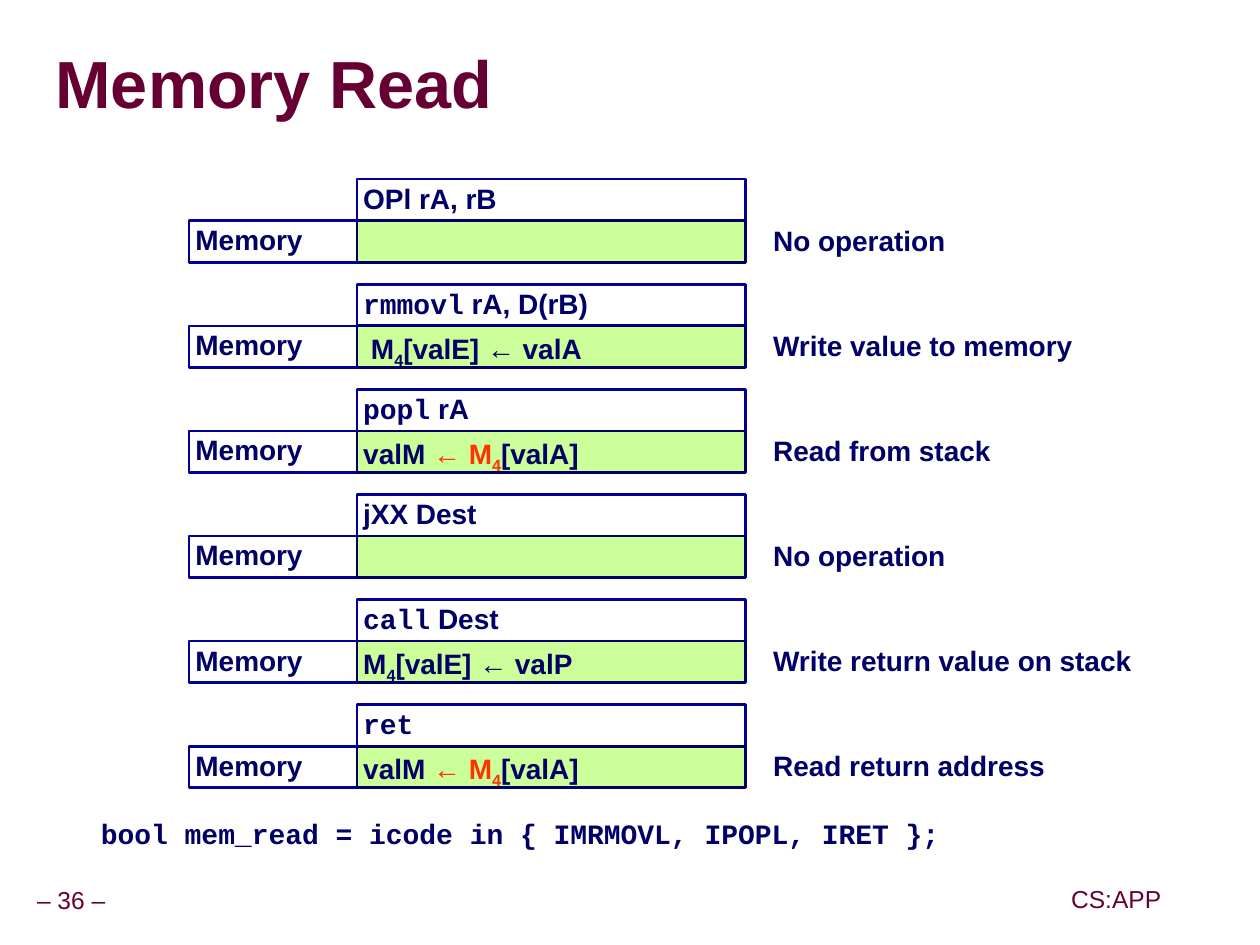
from dataclasses import dataclass

from lxml.etree import SubElement
from pptx import Presentation
from pptx.dml.color import RGBColor
from pptx.enum.shapes import MSO_SHAPE as Preset
from pptx.enum.text import MSO_ANCHOR as Anchor, MSO_AUTO_SIZE as AutoSize, PP_ALIGN as Align
from pptx.oxml.ns import qn
from pptx.slide import Slide
from pptx.text.text import TextFrame
from pptx.util import Inches, Pt

NAVY, BLUE, GREEN, RED, MAROON = "000066", "000099", "CCFF99", "FF3300", "660033"
SANS, MONO = "Arial", "Courier New"
ROW_HEIGHT, FIRST_TOP, PITCH = 0.33, 1.42, 0.833
STAGE_LEFT, STAGE_WIDTH = 1.5, 1.33
STEP_LEFT, STEP_WIDTH = 2.83, 3.08
NOTE_LEFT = 6.08


@dataclass(frozen=True)
class Piece:
    text: str
    font: str = SANS
    color: str = NAVY
    subscript: bool = False
    size: float = 16
    bold: bool = True


@dataclass(frozen=True)
class Instruction:
    name: list[Piece]
    step: list[Piece]
    note: str


def rgb(value: str) -> RGBColor:
    return RGBColor.from_string(value)


def write(frame: TextFrame, pieces: list[Piece], spacing: float = 0.9,
          anchor: Anchor = Anchor.TOP, align: Align = Align.LEFT,
          inset: float = 0.05, wrap: bool = True) -> None:
    frame.auto_size = AutoSize.NONE
    frame.word_wrap = wrap
    frame.vertical_anchor = anchor
    frame.margin_left = frame.margin_right = Inches(inset)
    frame.margin_top = frame.margin_bottom = Inches(inset)
    paragraph = frame.paragraphs[0]
    paragraph.alignment = align
    paragraph.line_spacing = spacing
    for piece in pieces:
        run = paragraph.add_run()
        run.text = piece.text
        run.font.name = piece.font
        run.font.size = Pt(piece.size)
        run.font.bold = piece.bold
        run.font.color.rgb = rgb(piece.color)
        if piece.subscript:
            run.font._element.set("baseline", "-25000")


def add_title(slide: Slide, text: str) -> None:
    title = slide.shapes.title
    title.left, title.top = Inches(0.44), Inches(0.27)
    title.width, title.height = Inches(9.52), Inches(0.85)
    write(title.text_frame, [Piece(text, color=MAROON, size=38)], 0.87, Anchor.MIDDLE, inset=0)
    properties = title.text_frame.paragraphs[0].runs[0].font._element
    effects = SubElement(properties, qn("a:effectLst"))
    properties.find(qn("a:solidFill")).addnext(effects)
    shadow = SubElement(effects, qn("a:outerShdw"), dist="45720", dir="2700000")
    SubElement(shadow, qn("a:srgbClr"), val="808080")


def add_cell(slide: Slide, left: float, top: float, width: float, pieces: list[Piece],
             line: str = BLUE, fill: str | None = None, anchor: Anchor = Anchor.TOP) -> None:
    cell = slide.shapes.add_shape(Preset.RECTANGLE, Inches(left), Inches(top),
                                  Inches(width), Inches(ROW_HEIGHT))
    cell.shadow.inherit = False
    cell.line.color.rgb = rgb(line)
    cell.line.width = Pt(1.5)
    if fill:
        cell.fill.solid()
        cell.fill.fore_color.rgb = rgb(fill)
    else:
        cell.fill.background()
    write(cell.text_frame, pieces, anchor=anchor)


def add_label(slide: Slide, left: float, top: float, width: float, height: float,
              piece: Piece, spacing: float = 0.9, anchor: Anchor = Anchor.TOP,
              align: Align = Align.LEFT, wrap: bool = True) -> None:
    label = slide.shapes.add_textbox(Inches(left), Inches(top), Inches(width), Inches(height))
    write(label.text_frame, [piece], spacing, anchor, align, wrap=wrap)


def add_instruction(slide: Slide, top: float, instruction: Instruction) -> None:
    lower = top + ROW_HEIGHT
    add_cell(slide, STEP_LEFT, top, STEP_WIDTH, instruction.name)
    add_cell(slide, STAGE_LEFT, lower, STAGE_WIDTH, [Piece("Memory")], anchor=Anchor.MIDDLE)
    add_cell(slide, STEP_LEFT, lower, STEP_WIDTH, instruction.step, NAVY, GREEN)
    add_label(slide, NOTE_LEFT, lower, STEP_WIDTH, ROW_HEIGHT, Piece(instruction.note))


def write_step(target: str, value: str) -> list[Piece]:
    return [Piece(target), Piece("4", subscript=True), Piece(f"[valE] ← {value}")]


READ_STEP = [Piece("valM "), Piece("← M", color=RED),
             Piece("4", color=RED, subscript=True), Piece("[valA]")]

INSTRUCTIONS = [
    Instruction([Piece("OPl rA, rB")], [], "No operation"),
    Instruction([Piece("rmmovl", MONO), Piece(" rA, D(rB)")],
                write_step(" M", "valA"), "Write value to memory"),
    Instruction([Piece("popl", MONO), Piece(" rA")], READ_STEP, "Read from stack"),
    Instruction([Piece("jXX Dest")], [], "No operation"),
    Instruction([Piece("call", MONO), Piece(" Dest")],
                write_step("M", "valP"), "Write return value on stack"),
    Instruction([Piece("ret", MONO)], READ_STEP, "Read return address"),
]


def main() -> None:
    deck = Presentation()
    deck.slide_width, deck.slide_height = Inches(9.99), Inches(7.49)
    slide = deck.slides.add_slide(deck.slide_layouts[5])
    add_title(slide, "Memory Read")
    for index, instruction in enumerate(INSTRUCTIONS):
        add_instruction(slide, FIRST_TOP + index * PITCH, instruction)
    add_label(slide, 0.75, 6.42, 8.75, 0.37,
              Piece("bool mem_read = icode in { IMRMOVL, IPOPL, IRET };", MONO), 1.0)
    for text, left, top, width in (("– 36 –", -0.09, 6.99, 1.31), ("CS:APP", 8.44, 6.98, 0.82)):
        add_label(slide, left, top, width, 0.31, Piece(text, color=MAROON, size=14, bold=False),
                  anchor=Anchor.MIDDLE, align=Align.CENTER, wrap=False)
    deck.save("out.pptx")


if __name__ == "__main__":
    main()
